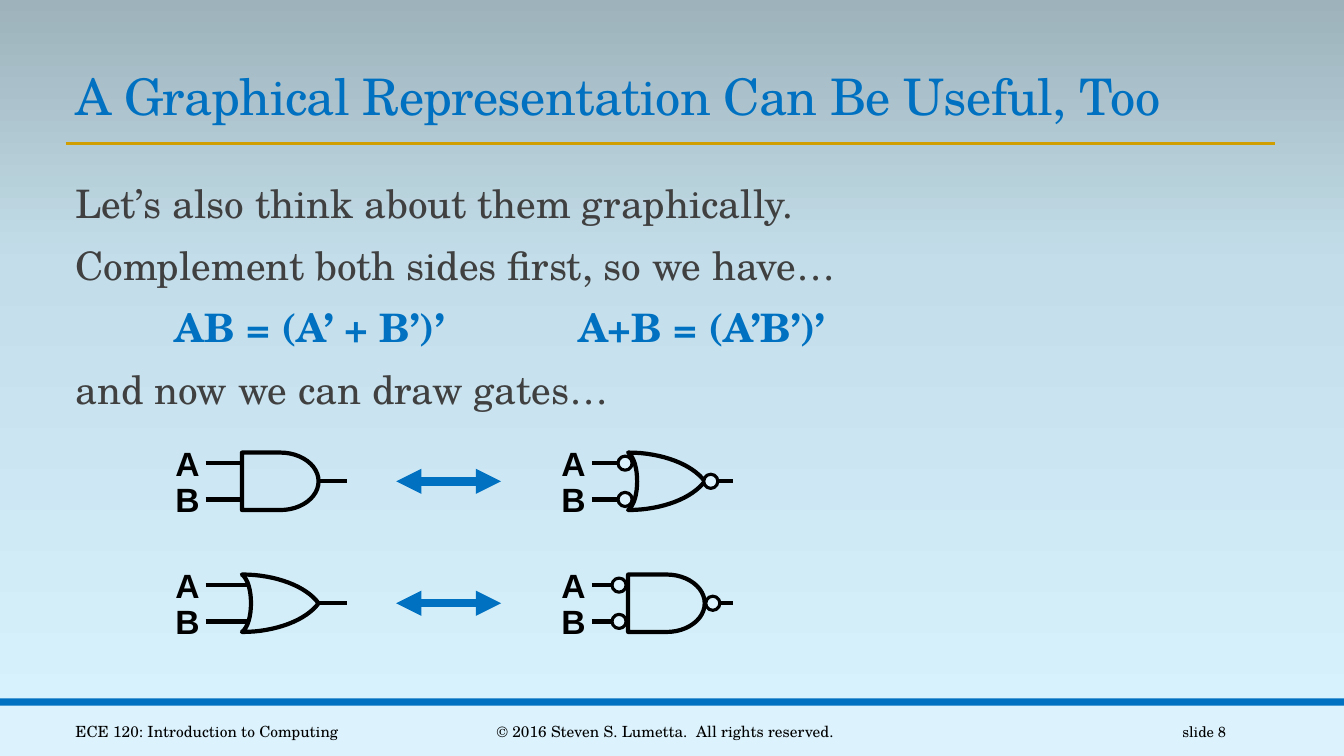
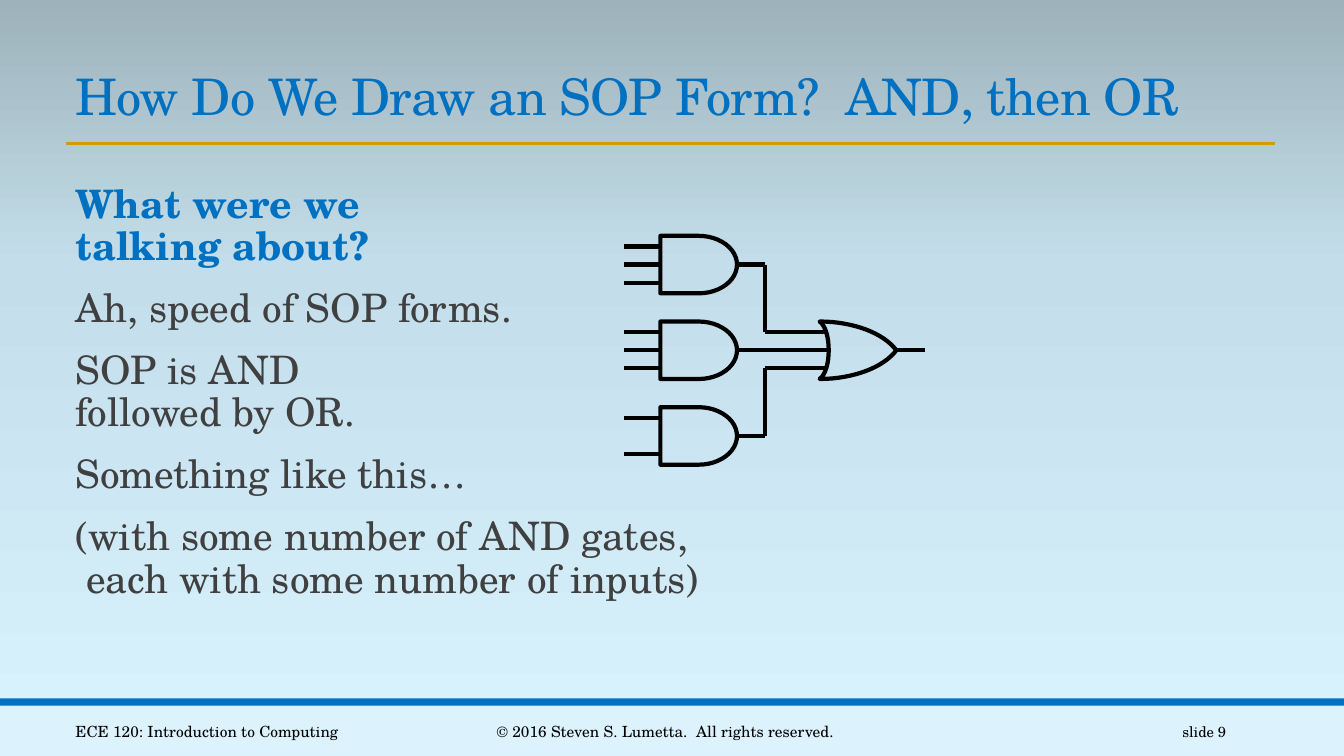
from pptx import Presentation
from pptx.dml.color import RGBColor
from pptx.enum.shapes import MSO_CONNECTOR, MSO_SHAPE
from pptx.enum.text import MSO_ANCHOR, PP_ALIGN
from pptx.oxml.ns import qn
from pptx.util import Inches, Pt
from copy import deepcopy
from lxml import etree

STRAIGHT = MSO_CONNECTOR.STRAIGHT
RECT, OVAL, DELAY = MSO_SHAPE.RECTANGLE, MSO_SHAPE.OVAL, MSO_SHAPE.FLOWCHART_DELAY
LEFT, CENTER, RIGHT = PP_ALIGN.LEFT, PP_ALIGN.CENTER, PP_ALIGN.RIGHT
TOP, MIDDLE, BOTTOM = MSO_ANCHOR.TOP, MSO_ANCHOR.MIDDLE, MSO_ANCHOR.BOTTOM

BLUE = RGBColor(0x00, 0x70, 0xC0)
GOLD = RGBColor(0xD0, 0x9E, 0x00)
PALE = RGBColor(0xDC, 0xF3, 0xFD)
GRAY = RGBColor(0x40, 0x40, 0x40)
BLACK = RGBColor(0, 0, 0)
SKY = [(0, RGBColor(0xDA, 0xF4, 0xFF)), (0.65, RGBColor(0xC3, 0xDE, 0xEA)),
       (1, RGBColor(0x9D, 0xB2, 0xBA))]
SERIF, SANS = "TeX Gyre Schola", "Arial"

SLIDE_W, SLIDE_H = 13.33, 7.5
MARGIN = 0.65
FOOTER_TOP = 7.0
FOOTERS = [  # text, left, width, alignment, size
    ("ECE 120: Introduction to Computing", MARGIN, 3.25, LEFT, 11),
    ("© 2016 Steven S. Lumetta.  All rights reserved.", 4.03, 5.14, CENTER, 11),
    ("slide {number}", 10.83, 1.43, RIGHT, 10.5),
]

PLAIN = dict(color=GRAY)
STRONG = dict(color=BLUE, bold=True)
FORMULA = dict(color=BLUE, bold=True, align=CENTER)

GRAPHICAL = dict(number=8, title="A Graphical Representation Can Be Useful, Too", body=[
    ("Let’s also think about them graphically.", PLAIN),
    ("Complement both sides first, so we have…", PLAIN),
    ("AB = (A’ + B’)’\t\tA+B = (A’B’)’", FORMULA),
    ("and now we can draw gates…", PLAIN),
])
SOP = dict(number=9, title="How Do We Draw an SOP Form?  AND, then OR", body=[
    ("What were we\vtalking about?", STRONG),
    ("Ah, speed of SOP forms.", PLAIN),
    ("SOP is AND\vfollowed by OR.", PLAIN),
    ("Something like this…", PLAIN),
    ("(with some number of AND gates,\v each with some number of inputs)", PLAIN),
])

# Gate geometry
GATE_W, GATE_H = 0.76, 0.57
TAP_PITCH = 0.18
LEAD, OUTPUT = 0.36, 0.28
BUBBLE = 0.14
BACK_BULGE = 0.09
TWO_INPUTS, THREE_INPUTS = (-1, 1), (-1, 0, 1)
# How far inputs reach into a gate, then where its bubbles start
REACH = {"AND": 0, "OR": 0.07}
BUBBLE_IN = {"AND": -0.16, "OR": -0.10}
BUBBLE_OUT = {"AND": GATE_W + 0.01, "OR": GATE_W - 0.01}

EQUIVALENCES = [("AND", "OR"), ("OR", "AND")]
PAIR_X, PAIR_TOP, PAIR_PITCH = (2.4, 6.23), 4.49, 1.21
ARROW_X = (3.93, 4.97)

AND_X, OR_X, JOINT_X = 6.55, 8.13, 7.59
SOP_TOP, SOP_PITCH = 2.34, 0.85
SOP_INPUTS = [THREE_INPUTS, THREE_INPUTS, TWO_INPUTS]


def add_text(slide, paragraphs, left, top, width, height, anchor=TOP, wrap=True,
             right_inset=0.1, **shared):
    """Write (text, format) paragraphs; shared holds the format they have in common."""
    frame = slide.shapes.add_textbox(
        Inches(left), Inches(top), Inches(width), Inches(height)).text_frame
    frame.word_wrap, frame.vertical_anchor = wrap, anchor
    frame.margin_right = Inches(right_inset)
    for index, (text, own) in enumerate(paragraphs):
        paragraph = frame.add_paragraph() if index else frame.paragraphs[0]
        format_paragraph(paragraph, text, **{**shared, **own})


def format_paragraph(paragraph, text, size=11, font=SERIF, color=BLACK, bold=False,
                     align=LEFT, line=1.0, before=0, after=0, tracking=0):
    paragraph.text = text
    paragraph.alignment, paragraph.line_spacing = align, line
    paragraph.space_before, paragraph.space_after = Pt(before), Pt(after)
    paragraph._p.get_or_add_pPr().set("defTabSz", str(Inches(1)))
    for run in paragraph.runs:
        run.font.name, run.font.size = font, Pt(size)
        run.font.bold, run.font.color.rgb = bold, color
        if tracking:
            run._r.get_or_add_rPr().set("spc", str(int(tracking * 100)))


def add_line(shapes, start, end, color=BLACK, width=3, arrows=False):
    connector = shapes.add_connector(STRAIGHT, *map(Inches, start + end))
    connector.line.color.rgb, connector.line.width = color, Pt(width)
    if arrows:
        outline = connector.line._get_or_add_ln()
        for end_tag in ("a:headEnd", "a:tailEnd"):
            etree.SubElement(outline, qn(end_tag), type="triangle")
    etree.SubElement(connector._element.spPr, qn("a:effectLst"))


def paint(shape, fill=None, line=None, line_width=3):
    shape.shadow.inherit = False
    if fill is None:
        shape.fill.background()
    else:
        shape.fill.solid()
        shape.fill.fore_color.rgb = fill
    if line is None:
        shape.line.fill.background()
    else:
        shape.line.color.rgb, shape.line.width = line, Pt(line_width)


def add_box(shapes, preset, left, top, width, height, **style):
    paint(shapes.add_shape(preset, *map(Inches, (left, top, width, height))), **style)


def bezier(p0, p1, p2, p3, steps=16):
    """Points along a cubic curve."""
    points = []
    for step in range(steps + 1):
        t = step / steps
        weights = ((1 - t) ** 3, 3 * t * (1 - t) ** 2, 3 * t * t * (1 - t), t ** 3)
        points.append(tuple(sum(w * p[axis] for w, p in zip(weights, (p0, p1, p2, p3)))
                            for axis in (0, 1)))
    return points


def add_or_body(shapes, x, y):
    tip = (GATE_W, GATE_H / 2)
    upper = bezier((0, 0), (0.34, 0), (0.64, 0.12), tip)
    lower = [(px, GATE_H - py) for px, py in reversed(upper)]
    bulge = BACK_BULGE * 4 / 3
    back = bezier((0, GATE_H), (bulge, GATE_H * 0.85), (bulge, GATE_H * 0.15), (0, 0))
    outline = [(Inches(x + px), Inches(y + py)) for px, py in upper + lower[1:] + back[1:]]
    builder = shapes.build_freeform(*outline[0], scale=1.0)
    builder.add_line_segments(outline[1:-1], close=True)
    paint(builder.convert_to_shape(), line=BLACK)


def tap_y(y, tap):
    return y + GATE_H / 2 + tap * TAP_PITCH


def add_gate(slide, kind, x, y, taps=TWO_INPUTS, lead=LEAD, bubbles=False):
    shapes = slide.shapes.add_group_shape().shapes
    wire_in, wire_out = x + REACH[kind], x + GATE_W
    if bubbles:
        wire_in, wire_out = x + BUBBLE_IN[kind], x + BUBBLE_OUT[kind] + BUBBLE
    for tap in taps:
        add_line(shapes, (x - lead, tap_y(y, tap)), (wire_in, tap_y(y, tap)))
    add_line(shapes, (wire_out, tap_y(y, 0)), (x + GATE_W + OUTPUT, tap_y(y, 0)))
    if kind == "AND":
        add_box(shapes, DELAY, x, y, GATE_W, GATE_H, line=BLACK)
    else:
        add_or_body(shapes, x, y)
    if bubbles:
        spots = [(BUBBLE_IN[kind], tap) for tap in taps] + [(BUBBLE_OUT[kind], 0)]
        for offset, tap in spots:
            add_box(shapes, OVAL, x + offset, tap_y(y, tap) - BUBBLE / 2, BUBBLE, BUBBLE,
                    fill=PALE, line=BLACK, line_width=2.25)


def paint_background(slide):
    fill = slide.background.fill
    fill.gradient()
    fill.gradient_angle = 90
    stop_list = slide.element.find(".//" + qn("a:gsLst"))
    stop_list.append(deepcopy(stop_list[-1]))
    for stop, (position, color) in zip(fill.gradient_stops, SKY):
        stop.position, stop.color.rgb = position, color


def add_slide(deck, number, title, body):
    """Add a slide with the shared background, bands, title, text and footer."""
    slide = deck.slides.add_slide(deck.slide_layouts[6])
    paint_background(slide)
    add_box(slide.shapes, RECT, 0, FOOTER_TOP, SLIDE_W, SLIDE_H - FOOTER_TOP, fill=PALE)
    add_box(slide.shapes, RECT, 0, FOOTER_TOP - 0.07, SLIDE_W, 0.07, fill=BLUE)
    add_line(slide.shapes, (MARGIN, 1.42), (MARGIN + 12, 1.42), color=GOLD, width=2)
    add_text(slide, [(title, {})], MARGIN, 0.59, 12.01, 0.71, anchor=BOTTOM,
             size=36, color=BLUE, line=0.85, tracking=-0.5)
    for text, left, width, align, size in FOOTERS:
        add_text(slide, [(text.format(number=number), {})], left, FOOTER_TOP + 0.06,
                 width, 0.4, anchor=MIDDLE, align=align, size=size)
    add_text(slide, body, MARGIN, 1.78, 8.52, 4.64, right_inset=0,
             size=28, line=0.9, before=12, after=2)
    return slide


def draw_equivalences(slide):
    for row, kinds in enumerate(EQUIVALENCES):
        y = PAIR_TOP + row * PAIR_PITCH
        for kind, x, bubbles in zip(kinds, PAIR_X, (False, True)):
            add_gate(slide, kind, x, y, bubbles=bubbles)
            for label, tap in zip("AB", TWO_INPUTS):
                add_text(slide, [(label, {})], x - 0.76, tap_y(y, tap) - 0.25, 0.45, 0.5,
                         wrap=False, size=24, font=SANS, bold=True)
        arrow_y = tap_y(y, 0)
        add_line(slide.shapes, (ARROW_X[0], arrow_y), (ARROW_X[1], arrow_y),
                 color=BLUE, width=6, arrows=True)


def draw_sum_of_products(slide):
    or_y = SOP_TOP + SOP_PITCH
    add_gate(slide, "OR", OR_X, or_y, taps=THREE_INPUTS, lead=OR_X - JOINT_X)
    for row, (taps, or_tap) in enumerate(zip(SOP_INPUTS, THREE_INPUTS)):
        y = SOP_TOP + row * SOP_PITCH
        add_gate(slide, "AND", AND_X, y, taps=taps)
        if or_tap:
            add_line(slide.shapes, (JOINT_X, tap_y(y, 0)), (JOINT_X, tap_y(or_y, or_tap)))


def main():
    deck = Presentation()
    deck.slide_width, deck.slide_height = Inches(SLIDE_W), Inches(SLIDE_H)
    draw_equivalences(add_slide(deck, **GRAPHICAL))
    draw_sum_of_products(add_slide(deck, **SOP))
    deck.save("out.pptx")


if __name__ == "__main__":
    main()
